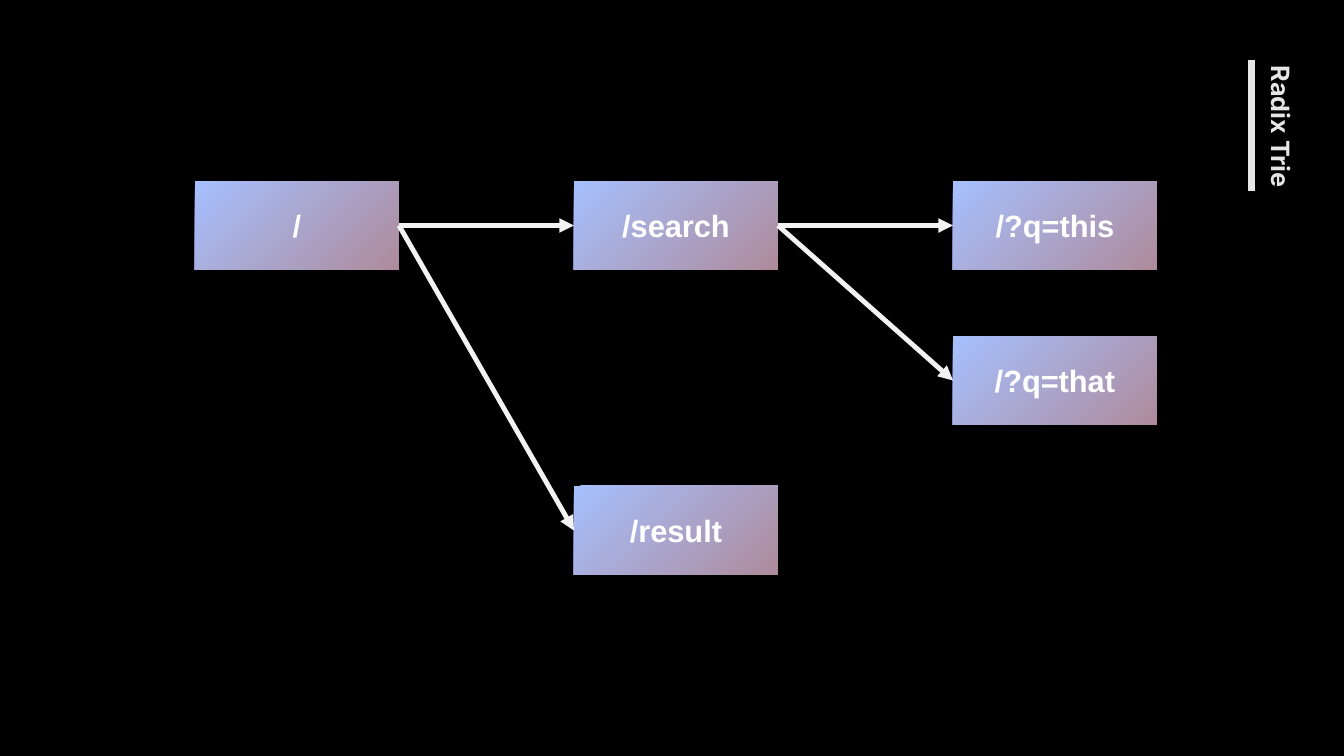
from lxml import etree
from pptx import Presentation
from pptx.dml.color import RGBColor
from pptx.enum import shapes, text
from pptx.oxml.ns import qn
from pptx.util import Emu, Pt

SLIDE_SIZE = (1344, 756)
SCALE = 12192000 / SLIDE_SIZE[0]

TITLE = "Radix Trie"
TITLE_BOX = (1252, 56, 50, 135)
TITLE_BAR = (1252, 60, 1252, 191)

# label: (column, row)
NODES = {
    "/": (0, 0),
    "/search": (1, 0),
    "/?q=this": (2, 0),
    "/?q=that": (2, 1),
    "/result": (1, 2),
}
EDGES = [
    ("/", "/search"),
    ("/search", "/?q=this"),
    ("/", "/result"),
    ("/search", "/?q=that"),
]
NODE_LEFT, COLUMN_PITCH = 195, 379
ROW_TOPS = (181, 336, 486)
NODE_SIZE = (204, 89)
RIGHT_SITE, LEFT_SITE = 3, 1

BLACK, WHITE = "000000", "FFFFFF"
TITLE_COLOR, ARROW_COLOR = "E7E6E6", "F2F2F2"
NODE_GRADIENT = ("A6C0FE", "AE8B9C")


def px(*lengths):
    return [Emu(round(length * SCALE)) for length in lengths]


def color(value):
    return RGBColor.from_string(value)


def write(shape, words, font_name, size, font_color):
    para = shape.text_frame.paragraphs[0]
    para.text = words
    para.font.name = font_name
    para.font.size = Pt(size)
    para.font.bold = True
    para.font.color.rgb = color(font_color)
    return para


def add_line(page, ends, line_color, width):
    line = page.shapes.add_connector(shapes.MSO_CONNECTOR.STRAIGHT, *px(*ends))
    line.line.color.rgb = color(line_color)
    line.line.width = Pt(width)
    etree.SubElement(line._element.spPr, qn("a:effectLst"))
    return line


def add_title(page):
    box = page.shapes.add_textbox(*px(*TITLE_BOX))
    box.text_frame.word_wrap = False
    box.text_frame.auto_size = text.MSO_AUTO_SIZE.SHAPE_TO_FIT_TEXT
    box.text_frame._txBody.bodyPr.set("vert", "eaVert")
    write(box, TITLE, "Inter", 18, TITLE_COLOR)
    add_line(page, TITLE_BAR, TITLE_COLOR, 5)


def add_node(page, label, column, row):
    left = NODE_LEFT + column * COLUMN_PITCH
    node = page.shapes.add_shape(
        shapes.MSO_SHAPE.RECTANGLE, *px(left, ROW_TOPS[row], *NODE_SIZE))
    node.shadow.inherit = False
    node.line.fill.background()
    node.fill.gradient()
    node.fill.gradient_angle = 315
    for stop, value in zip(node.fill.gradient_stops, NODE_GRADIENT):
        stop.color.rgb = color(value)
    node.text_frame.vertical_anchor = text.MSO_ANCHOR.MIDDLE
    write(node, label, "Arial", 22, WHITE).alignment = text.PP_ALIGN.CENTER
    return node


def add_arrow(page, parent, child):
    arrow = add_line(page, (0, 0, 0, 0), ARROW_COLOR, 3.5)
    arrow.begin_connect(parent, RIGHT_SITE)
    arrow.end_connect(child, LEFT_SITE)
    etree.SubElement(arrow.line._get_or_add_ln(), qn("a:tailEnd"), type="triangle")


def main():
    deck = Presentation()
    deck.slide_width, deck.slide_height = px(*SLIDE_SIZE)
    page = deck.slides.add_slide(deck.slide_layouts[6])
    page.background.fill.solid()
    page.background.fill.fore_color.rgb = color(BLACK)

    add_title(page)
    nodes = {label: add_node(page, label, *cell) for label, cell in NODES.items()}
    for parent, child in EDGES:
        add_arrow(page, nodes[parent], nodes[child])
    deck.save("out.pptx")


if __name__ == "__main__":
    main()
